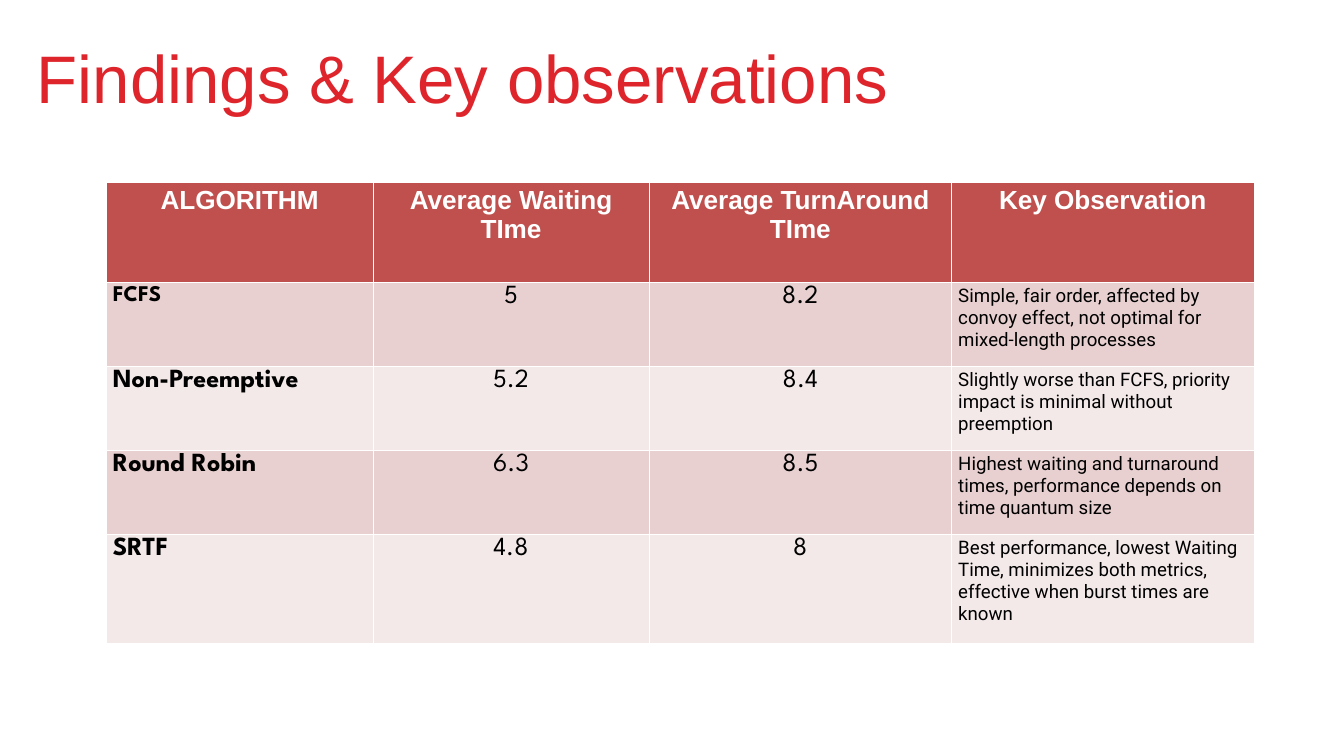
from pptx import Presentation
from pptx.dml.color import RGBColor
from pptx.enum.text import MSO_ANCHOR, MSO_AUTO_SIZE, PP_ALIGN
from pptx.util import Emu, Pt

TITLE = "Findings & Key observations"
HEADINGS = ("ALGORITHM", "Average Waiting TIme", "Average TurnAround TIme", "Key Observation")
RESULTS = [
    ("FCFS", "5", "8.2",
     "Simple, fair order, affected by convoy effect, not optimal for mixed-length processes"),
    ("Non-Preemptive", "5.2", "8.4",
     "Slightly worse than FCFS, priority impact is minimal without preemption"),
    ("Round Robin", "6.3", "8.5",
     "Highest waiting and turnaround times, performance depends on time quantum size"),
    ("SRTF", "4.8", "8",
     "Best performance, lowest Waiting Time, minimizes both metrics, "
     "effective when burst times are known"),
]

PAGE_SIZE = (2000, 1125)
TITLE_BOX = (55, 96, 1630, 88)
TABLE_ORIGIN = (158, 271)
COLUMN_WIDTHS = (397, 411, 450, 450)
ROW_HEIGHTS = (149, 125, 125, 125, 163)

# Text styles: font, size, colour, bold, alignment
THEME = {
    "title": ("Arial", 72, "DE252C", False, PP_ALIGN.LEFT),
    "heading": ("Arial", 28, "FFFFFF", True, PP_ALIGN.CENTER),
    "first name": ("League Spartan", 24, "000000", True, PP_ALIGN.LEFT),
    "name": ("League Spartan", 28, "000000", True, PP_ALIGN.LEFT),
    "time": ("League Spartan", 28, "000000", False, PP_ALIGN.CENTER),
    "observation": ("Roboto", 20, "000000", False, PP_ALIGN.LEFT),
    "title leading": 55.8,
    "heading fill": "C0504D",
    "band fills": ("E8D0D0", "F4E9E9"),
}


def px(count):
    """Turn px (100 to the inch) into EMU."""
    return Emu(count * 9144)


def write(frame, text, style):
    font, size, colour, bold, alignment = THEME[style]
    para = frame.paragraphs[0]
    para.alignment = alignment
    span = para.add_run()
    span.text = text
    span.font.name = font
    span.font.size = Pt(size)
    span.font.bold = bold
    span.font.color.rgb = RGBColor.from_string(colour)
    return para


def add_title(page):
    box = page.shapes.title
    box.left, box.top, box.width, box.height = map(px, TITLE_BOX)
    frame = box.text_frame
    frame.margin_left = frame.margin_top = frame.margin_right = frame.margin_bottom = 0
    frame.vertical_anchor = MSO_ANCHOR.TOP
    frame.word_wrap = True
    frame.auto_size = MSO_AUTO_SIZE.SHAPE_TO_FIT_TEXT
    write(frame, TITLE, "title").line_spacing = Pt(THEME["title leading"])


def row_look(row):
    """Return the fill of a table row and the text style of each of its cells."""
    if row == 0:
        return THEME["heading fill"], ["heading"] * len(HEADINGS)
    name = "first name" if row == 1 else "name"
    return THEME["band fills"][(row - 1) % 2], [name, "time", "time", "observation"]


def add_results_table(page):
    rows = [HEADINGS, *RESULTS]
    size = (sum(COLUMN_WIDTHS), sum(ROW_HEIGHTS))
    table = page.shapes.add_table(
        len(rows), len(HEADINGS), *map(px, TABLE_ORIGIN + size)).table
    for column, width in zip(table.columns, COLUMN_WIDTHS):
        column.width = px(width)
    for row, (texts, height) in enumerate(zip(rows, ROW_HEIGHTS)):
        table.rows[row].height = px(height)
        fill, styles = row_look(row)
        for cell, text, style in zip(table.rows[row].cells, texts, styles):
            cell.fill.solid()
            cell.fill.fore_color.rgb = RGBColor.from_string(fill)
            write(cell.text_frame, text, style)


def main():
    deck = Presentation()
    deck.slide_width, deck.slide_height = map(px, PAGE_SIZE)
    page = deck.slides.add_slide(deck.slide_layouts.get_by_name("Title Only"))
    add_title(page)
    add_results_table(page)
    deck.save("out.pptx")


if __name__ == "__main__":
    main()
